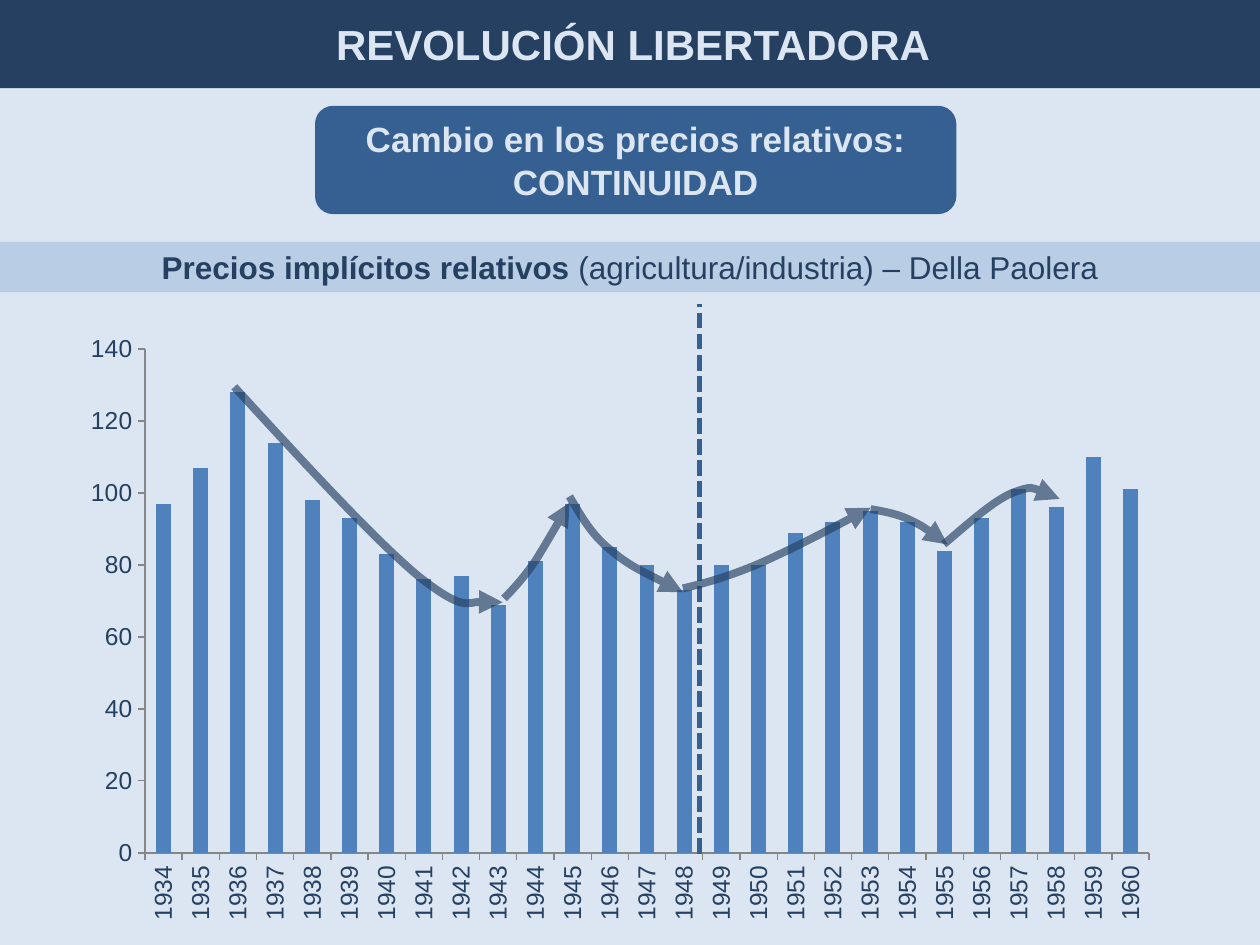
"""Build a slide on relative prices in Argentina from 1934 to 1960."""
from dataclasses import dataclass

from lxml.etree import SubElement
from pptx import Presentation
from pptx.chart.data import CategoryChartData
from pptx.dml.color import RGBColor
from pptx.enum.chart import XL_CHART_TYPE, XL_TICK_MARK
from pptx.enum.dml import MSO_LINE
from pptx.enum.shapes import MSO_CONNECTOR, MSO_SHAPE
from pptx.enum.text import MSO_ANCHOR, PP_ALIGN
from pptx.oxml import parse_xml
from pptx.oxml.ns import nsdecls, qn
from pptx.util import Inches, Pt


@dataclass(frozen=True)
class Theme:
    """Colours, font and type sizes."""
    pale: RGBColor = RGBColor.from_string("DCE6F2")
    light: RGBColor = RGBColor.from_string("B9CDE5")
    bar: RGBColor = RGBColor.from_string("4F81BD")
    medium: RGBColor = RGBColor.from_string("376092")
    dark: RGBColor = RGBColor.from_string("254061")
    axis: RGBColor = RGBColor.from_string("868686")
    font: str = "Arial"
    title: int = 24
    subtitle: int = 20
    heading: int = 18
    label: int = 14


THEME = Theme()

TITLE = [[("REVOLUCIÓN LIBERTADORA", True)]]
SUBTITLE = [[("Cambio en los precios relativos:", True)], [("CONTINUIDAD", True)]]
HEADING = [[("Precios implícitos relativos ", True),
            ("(agricultura/industria) – Della Paolera", False)]]

FIRST_YEAR = 1934
PRICES = [97, 107, 128, 114, 98, 93, 83, 76, 77, 69, 81, 97, 85, 80,
          73, 80, 80, 89, 92, 95, 92, 84, 93, 101, 96, 110, 101]

CHART_FRAME = (0.55, 2.56, 8.75, 4.84)
PLOT_FRAME = (1.15, 2.77, 7.97, 4.0)
DIVIDER = (5.55, 6.78, 5.55, 2.41)

TRENDS = [
    [(1.86, 3.07), (2.42, 3.68), (2.98, 4.29), (3.33, 4.58), (3.69, 4.86), (3.89, 4.75), (3.99, 4.78)],
    [(4, 4.75), (4.08, 4.67), (4.16, 4.58), (4.25, 4.45), (4.33, 4.32), (4.43, 4.15), (4.52, 3.99)],
    [(4.52, 3.94), (4.61, 4.09), (4.69, 4.24), (4.84, 4.36), (4.99, 4.49), (5.21, 4.59), (5.42, 4.7)],
    [(5.42, 4.67), (5.59, 4.63), (5.77, 4.58), (6.01, 4.48), (6.26, 4.37), (6.59, 4.2), (6.91, 4.03)],
    [(6.91, 4.04), (7.02, 4.06), (7.13, 4.08), (7.23, 4.13), (7.33, 4.18), (7.43, 4.25), (7.52, 4.32)],
    [(7.49, 4.32), (7.69, 4.15), (7.89, 3.97), (8.04, 3.91), (8.2, 3.85), (8.3, 3.9), (8.41, 3.96)],
]


def add_panel(page, text, *, frame, fill, color, size,
              shape=MSO_SHAPE.RECTANGLE, anchor=MSO_ANCHOR.MIDDLE):
    """Add a filled shape with centred paragraphs of (text, bold) spans."""
    box = page.shapes.add_shape(shape, *map(Inches, frame))
    box.shadow.inherit = False
    box.fill.solid()
    box.fill.fore_color.rgb = fill
    box.line.fill.background()
    frame_text = box.text_frame
    frame_text.word_wrap = True
    frame_text.vertical_anchor = anchor
    for index, spans in enumerate(text):
        para = frame_text.add_paragraph() if index else frame_text.paragraphs[0]
        para.alignment = PP_ALIGN.CENTER
        for words, bold in spans:
            span = para.add_run()
            span.text = words
            span.font.name = THEME.font
            span.font.size = Pt(size)
            span.font.bold = bold
            span.font.color.rgb = color


def add_price_chart(page):
    """Add the column chart of yearly relative prices."""
    data = CategoryChartData()
    data.categories = [str(FIRST_YEAR + offset) for offset in range(len(PRICES))]
    data.add_series("Precios relativos", PRICES)
    chart = page.shapes.add_chart(
        XL_CHART_TYPE.COLUMN_CLUSTERED, *map(Inches, CHART_FRAME), data).chart
    chart.has_legend = False
    chart.has_title = False
    chart.font.name = THEME.font
    chart.font.size = Pt(THEME.label)
    chart.font.color.rgb = THEME.dark

    plot = chart.plots[0]
    plot.gap_width = 150
    plot.vary_by_categories = False
    fill = plot.series[0].format.fill
    fill.solid()
    fill.fore_color.rgb = THEME.bar

    for axis in (chart.category_axis, chart.value_axis):
        axis.has_major_gridlines = False
        axis.major_tick_mark = XL_TICK_MARK.OUTSIDE
        axis.format.line.color.rgb = THEME.axis
        axis.tick_labels.font.size = Pt(THEME.label)
    chart.value_axis.minimum_scale = 0
    chart.value_axis.maximum_scale = 140
    chart.value_axis.major_unit = 20
    labels = chart.category_axis._element.find(qn("c:txPr"))
    labels.find(qn("a:bodyPr")).set("rot", "-5400000")

    left, top, width, height = CHART_FRAME
    plot_left, plot_top, plot_width, plot_height = PLOT_FRAME
    shares = {"x": (plot_left - left) / width, "y": (plot_top - top) / height,
              "w": plot_width / width, "h": plot_height / height}
    area = chart._chartSpace.chart.plotArea
    for old in area.findall(qn("c:layout")):
        area.remove(old)
    layout = parse_xml(f"<c:layout {nsdecls('c')}/>")
    manual = SubElement(layout, qn("c:manualLayout"))
    SubElement(manual, qn("c:layoutTarget")).set("val", "inner")
    for side in ("x", "y"):
        SubElement(manual, qn(f"c:{side}Mode")).set("val", "edge")
    for side, share in shares.items():
        SubElement(manual, qn(f"c:{side}")).set("val", f"{share:.4f}")
    area.insert(0, layout)


def add_divider(page):
    """Add the dashed vertical line between the two periods."""
    line = page.shapes.add_connector(MSO_CONNECTOR.STRAIGHT, *map(Inches, DIVIDER))
    line.line.color.rgb = THEME.medium
    line.line.width = Pt(3)
    line.line.dash_style = MSO_LINE.SQUARE_DOT
    SubElement(line._element.spPr, qn("a:effectLst"))


def add_trend(page, points):
    """Add a curved arrow through cubic control points."""
    corners = [(Inches(x), Inches(y)) for x, y in points]
    builder = page.shapes.build_freeform(*corners[0])
    builder.add_line_segments(corners[1:], close=False)
    curve = builder.convert_to_shape()
    curve.shadow.inherit = False
    curve.fill.background()
    curve.line.color.rgb = THEME.dark
    curve.line.width = Pt(4.5)
    properties = curve._element.spPr
    color = properties.find(f"{qn('a:ln')}//{qn('a:srgbClr')}")
    SubElement(color, qn("a:alpha")).set("val", "66000")
    SubElement(properties.find(qn("a:ln")), qn("a:tailEnd")).set("type", "triangle")
    outline = properties.find(f".//{qn('a:path')}")
    steps = outline.findall(qn("a:lnTo"))
    for start in range(0, len(steps), 3):
        bend = SubElement(outline, qn("a:cubicBezTo"))
        for step in steps[start:start + 3]:
            bend.append(step[0])
            outline.remove(step)


def main():
    """Assemble and save the slide."""
    deck = Presentation()
    deck.slide_width, deck.slide_height = Inches(10), Inches(7.5)
    page = deck.slides.add_slide(deck.slide_layouts[6])
    page.background.fill.solid()
    page.background.fill.fore_color.rgb = THEME.pale

    add_panel(page, SUBTITLE, frame=(2.5, 0.84, 5.09, 0.86), fill=THEME.medium,
              color=THEME.pale, size=THEME.subtitle, shape=MSO_SHAPE.ROUNDED_RECTANGLE)
    add_price_chart(page)
    add_divider(page)
    add_panel(page, HEADING, frame=(0, 1.92, 10, 0.4), fill=THEME.light,
              color=THEME.dark, size=THEME.heading, anchor=MSO_ANCHOR.TOP)
    add_panel(page, TITLE, frame=(0, 0, 10.05, 0.7), fill=THEME.dark,
              color=THEME.pale, size=THEME.title)
    for points in TRENDS:
        add_trend(page, points)
    deck.save("out.pptx")


if __name__ == "__main__":
    main()
